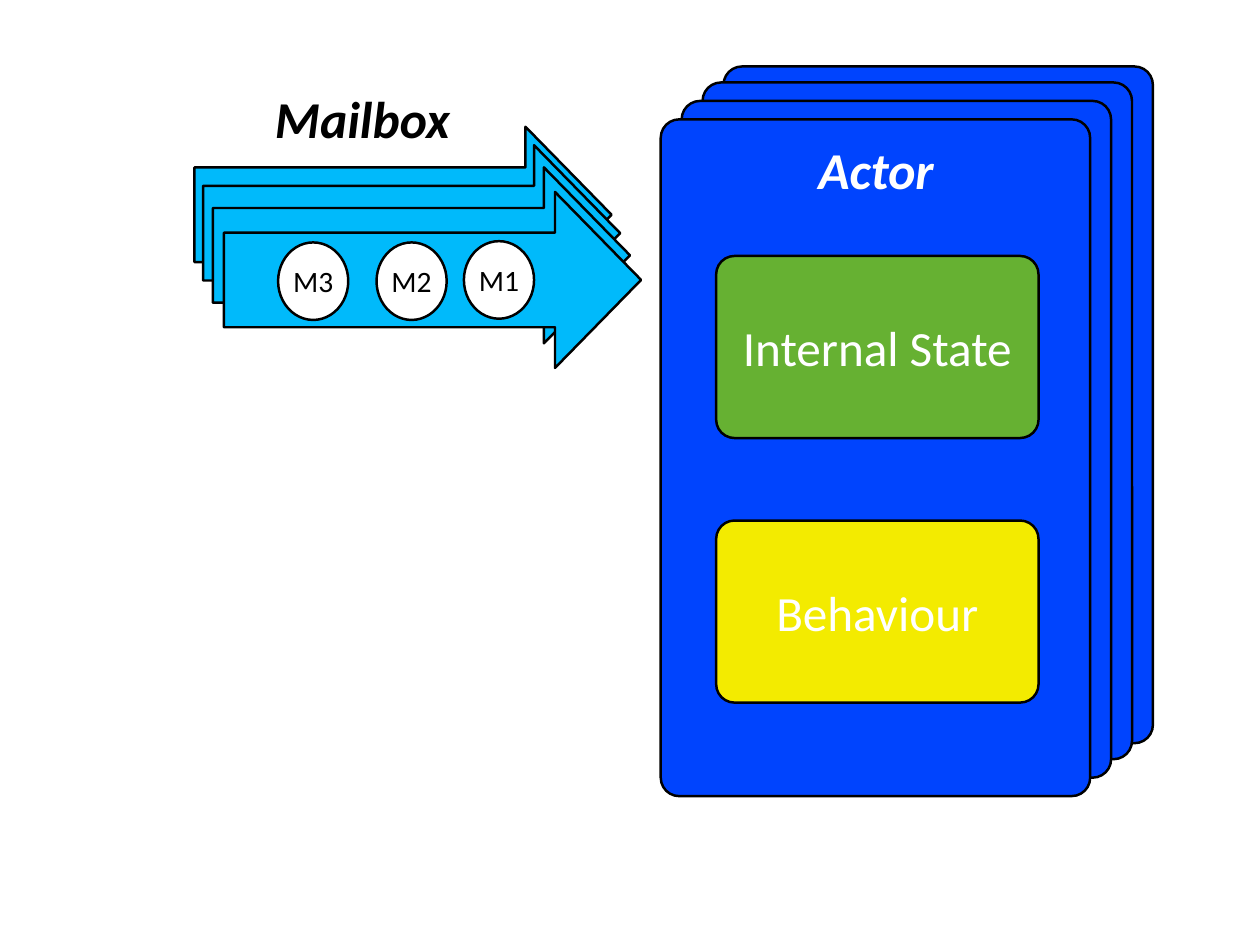
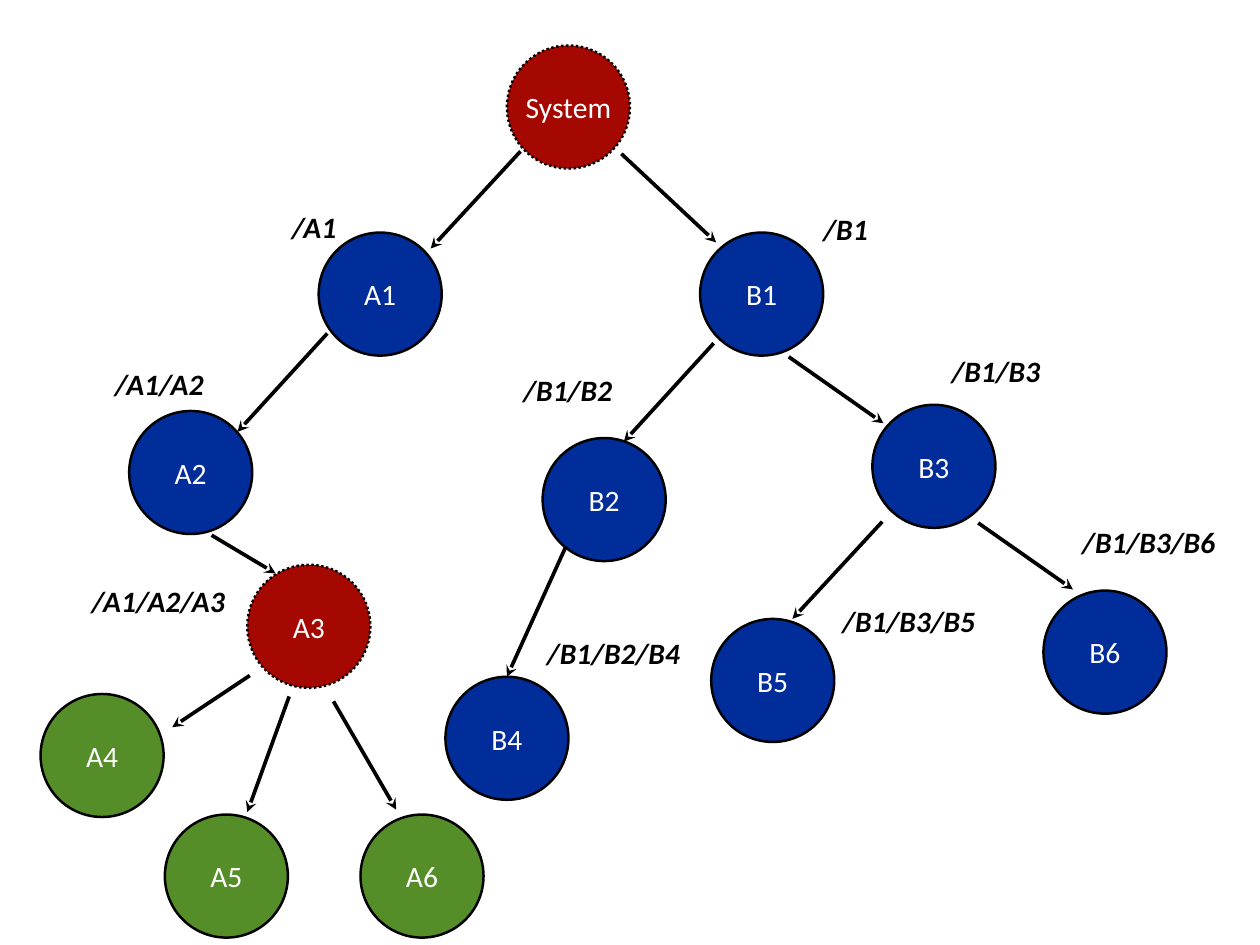
from dataclasses import dataclass

from lxml import etree
from pptx import Presentation
from pptx.dml.color import RGBColor
from pptx.enum import dml, shapes, text
from pptx.oxml.ns import qn
from pptx.util import Pt


@dataclass(frozen=True)
class Theme:
    font: str = "Calibri"
    black: str = "000000"
    white: str = "FFFFFF"
    card: str = "0044FE"
    state: str = "66B132"
    act: str = "F3EB00"
    mail: str = "00BAFB"
    red: str = "A40800"
    navy: str = "002D99"
    leaf: str = "558E28"
    head: int = 42
    body: int = 40
    small: int = 24
    edge: int = 2
    link: int = 3


T = Theme()
KIND = shapes.MSO_SHAPE


def write(shape, words, size=T.small, color=T.white, strong=False, wrap=True):
    """Put one centred line of text in a shape; strong is bold italic."""
    frame = shape.text_frame
    frame.margin_left = frame.margin_right = 0
    frame.margin_top = frame.margin_bottom = 0
    frame.vertical_anchor = text.MSO_ANCHOR.MIDDLE
    frame.word_wrap = wrap
    para = frame.paragraphs[0]
    para.alignment = text.PP_ALIGN.CENTER
    run = para.add_run()
    run.text = words
    font = run.font
    font.name, font.size = T.font, Pt(size)
    font.bold = font.italic = strong
    font.color.rgb = RGBColor.from_string(color)


def draw(slide, kind, box, fill, adjust=()):
    """Add an outlined preset shape; box is left, top, width, height."""
    shape = slide.shapes.add_shape(kind, *map(Pt, box))
    shape.shadow.inherit = False
    shape.fill.solid()
    shape.fill.fore_color.rgb = RGBColor.from_string(fill)
    shape.line.color.rgb = RGBColor.from_string(T.black)
    shape.line.width = Pt(T.edge)
    for i, value in enumerate(adjust):
        shape.adjustments[i] = value
    return shape


deck = Presentation()
deck.slide_width, deck.slide_height = Pt(1024), Pt(768)
blank = deck.slide_layouts[6]

# Actor and mailbox
slide = deck.slides.add_slide(blank)
for left, top in [(588, 54), (571, 67), (554, 82), (537, 97)]:
    draw(slide, KIND.ROUNDED_RECTANGLE, (left, top, 349, 550), T.card, [0.043])

for words, top, fill in [("Internal State", 208, T.state), ("Behaviour", 423, T.act)]:
    part = draw(slide, KIND.ROUNDED_RECTANGLE, (582, top, 262, 148), fill, [0.101])
    write(part, words, size=T.body)

for left, top in [(158, 103), (165, 118), (173, 136), (182, 156)]:
    draw(slide, KIND.RIGHT_ARROW, (left, top, 339, 143), T.mail, [0.538, 0.489])

for words, left, top in [("M1", 377, 196), ("M2", 306, 197), ("M3", 226, 197)]:
    write(draw(slide, KIND.OVAL, (left, top, 57, 63), T.white), words, color=T.black)

for words, left, top, width, color in [
    ("Actor", 659, 112, 106, T.white),
    ("Mailbox", 215, 71, 159, T.black),
]:
    label = slide.shapes.add_textbox(Pt(left), Pt(top), Pt(width), Pt(50))
    write(label, words, size=T.head, color=color, strong=True, wrap=False)

# Actor tree
slide = deck.slides.add_slide(blank)
nodes = {}
for words, left, top, fill in [
    ("System", 412, 37, T.red),
    ("A1", 259, 189, T.navy),
    ("A2", 105, 334, T.navy),
    ("A3", 201, 459, T.red),
    ("A4", 33, 564, T.leaf),
    ("A5", 134, 662, T.leaf),
    ("A6", 293, 662, T.leaf),
    ("B1", 569, 189, T.navy),
    ("B2", 441, 356, T.navy),
    ("B3", 709, 329, T.navy),
    ("B4", 362, 550, T.navy),
    ("B5", 578, 503, T.navy),
    ("B6", 848, 480, T.navy),
]:
    node = nodes[words] = draw(slide, KIND.OVAL, (left, top, 100, 100), fill)
    if fill == T.red:
        node.line.dash_style = dml.MSO_LINE.ROUND_DOT
    write(node, words)

for child, *ends in [
    ("A1", 423, 123, 350, 202),
    ("A2", 266, 271, 193, 351),
    ("A3", 172, 435, 224, 466),
    ("A4", 203, 549, 140, 591),
    ("A5", 235, 566, 201, 660),
    ("A6", 271, 570, 322, 658),
    ("B1", 505, 125, 582, 197),
    ("B2", 580, 279, 507, 359),
    ("B3", 641, 290, 718, 344),
    ("B4", 460, 444, 412, 550),
    ("B5", 717, 424, 644, 503),
    ("B6", 795, 425, 872, 479),
]:
    link = slide.shapes.add_connector(shapes.MSO_CONNECTOR.STRAIGHT, *map(Pt, ends))
    link.line.color.rgb = RGBColor.from_string(T.black)
    link.line.width = Pt(T.link)
    line = link.line._get_or_add_ln()
    etree.SubElement(line, qn("a:tailEnd"), type="stealth")
    etree.SubElement(link._element.spPr, qn("a:effectLst"))
    if child == "B4":
        link.end_connect(nodes[child], 0)

for words, left, top in [
    ("/A1", 236, 170),
    ("/A1/A2", 91, 297),
    ("/A1/A2/A3", 71, 474),
    ("/B1", 668, 171),
    ("/B1/B2", 423, 302),
    ("/B1/B3", 771, 287),
    ("/B1/B2/B4", 441, 516),
    ("/B1/B3/B5", 681, 490),
    ("/B1/B3/B6", 876, 426),
]:
    width = 38.4 * words.count("/")
    label = slide.shapes.add_textbox(Pt(left), Pt(top), Pt(width), Pt(29))
    write(label, words, color=T.black, strong=True, wrap=False)

deck.save("out.pptx")
